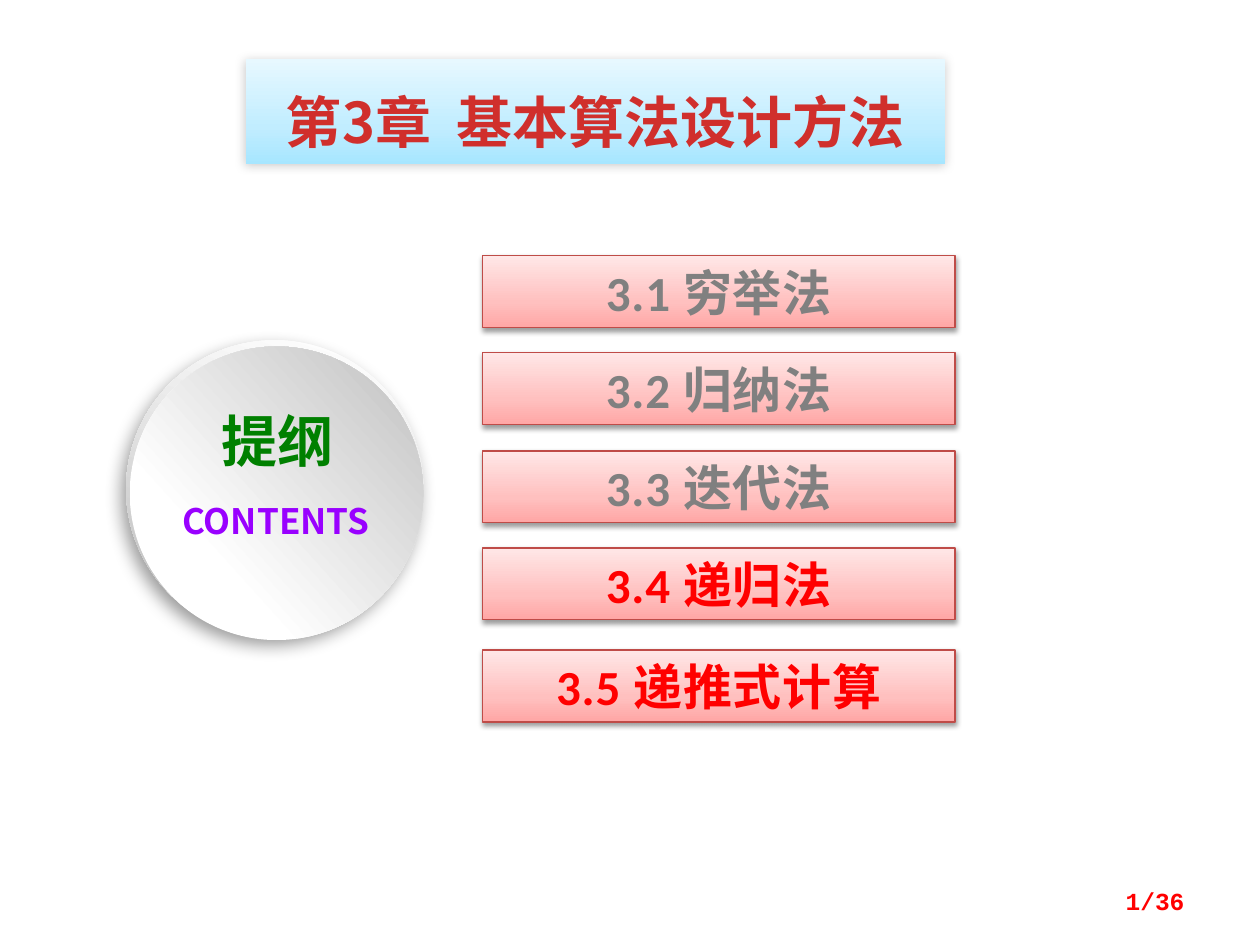
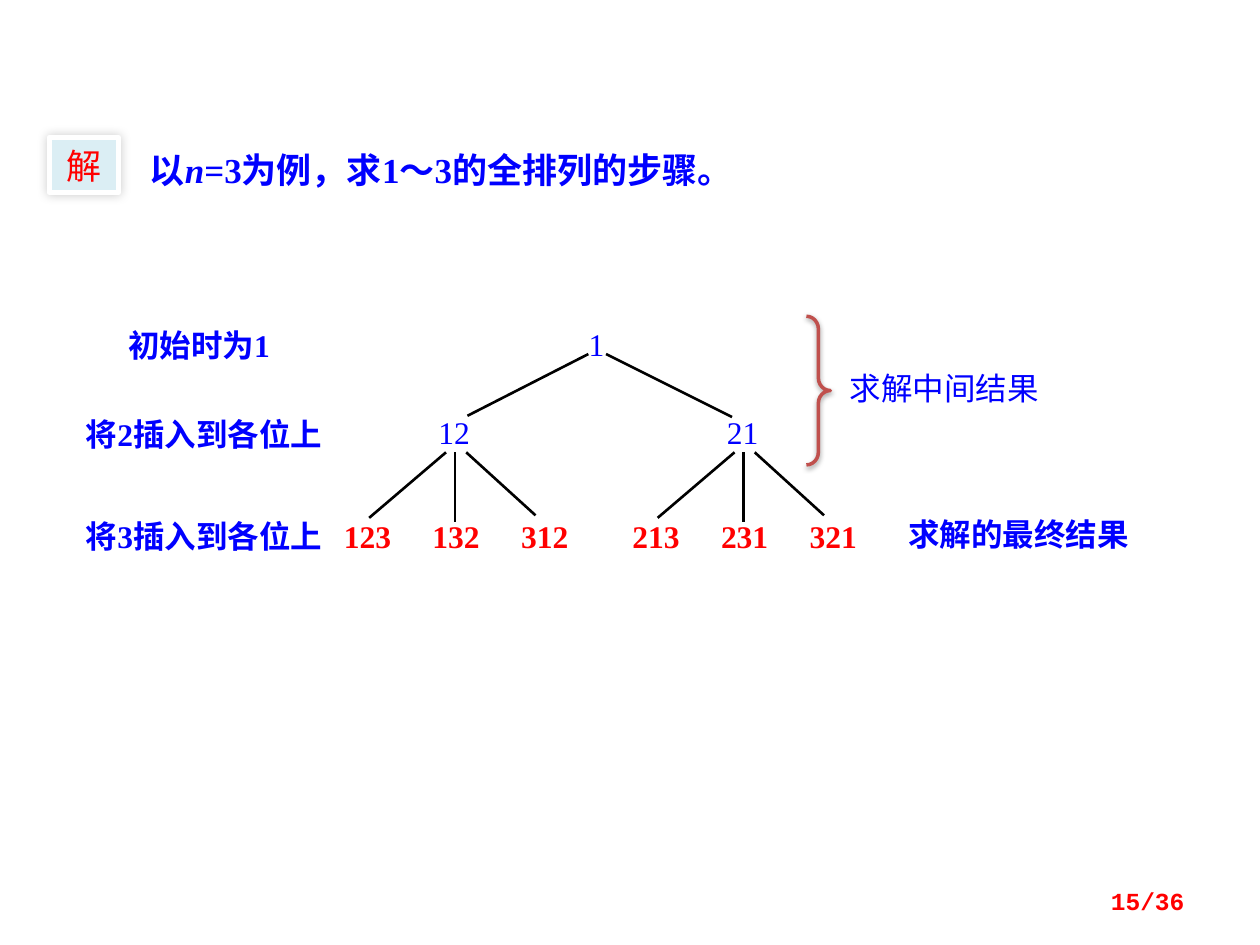
from dataclasses import dataclass, field
from typing import NamedTuple

from lxml import etree
from pptx import Presentation
from pptx.dml.color import RGBColor
from pptx.enum.shapes import MSO_CONNECTOR, MSO_SHAPE
from pptx.enum.text import MSO_ANCHOR, PP_ALIGN
from pptx.oxml.ns import qn
from pptx.util import Inches, Pt

RECT, OVAL, BRACE = MSO_SHAPE.RECTANGLE, MSO_SHAPE.OVAL, MSO_SHAPE.RIGHT_BRACE
LINE = MSO_CONNECTOR.STRAIGHT
TOP, MIDDLE = MSO_ANCHOR.TOP, MSO_ANCHOR.MIDDLE
LEFT, CENTER, RIGHT = PP_ALIGN.LEFT, PP_ALIGN.CENTER, PP_ALIGN.RIGHT
CELL = Inches(0.1)
COLS, ROWS = 100, 75
PAGES = 36


class Shade(NamedTuple):
    color: str
    alpha: int
    blur: float
    dist: float
    angle: int


class Blend(NamedTuple):
    stops: tuple[tuple[int, str], ...]
    angle: int


class Box(NamedTuple):
    """Left, top, width and height in grid cells."""
    col: float
    row: float
    wide: float
    high: float


class Edge(NamedTuple):
    col: float
    row: float
    to_col: float
    to_row: float


@dataclass(frozen=True)
class Theme:
    blue: str = "0000FF"
    red: str = "FF0000"
    grey: str = "808080"
    green: str = "008000"
    purple: str = "9900FF"
    brick: str = "D02F2C"
    rust: str = "BF4C48"
    brace: str = "C0504D"
    ice: str = "DBEEF4"
    white: str = "FFFFFF"
    black: str = "000000"
    sans: str = "Noto Sans CJK SC"
    serif: str = "Times New Roman"
    latin: str = "Calibri"
    mono: str = "Courier New"
    head: int = 32
    item: int = 28
    body: int = 20
    label: int = 18
    foot: int = 14
    sky: Blend = Blend(((0, "A7E6FF"), (35, "C1EDFF"), (100, "E7F8FF")), 270)
    rose: Blend = Blend(((0, "FFA6A5"), (35, "FFC0BF"), (100, "FFE7E7")), 270)
    rim: Blend = Blend(((17, "FFFFFF"), (88, "B8B8B8")), 45)
    disc: Blend = Blend(((29, "FFFFFF"), (98, "BFBFBF")), 45)
    glow: Shade = Shade("000000", 20, 6, 1, 135)
    halo: Shade = Shade("000000", 20, 6, 0, 225)
    drop: Shade = Shade("000000", 38, 3.1, 1.6, 90)
    deep: Shade = Shade("000000", 39, 10, 5, 123)


T = Theme()


@dataclass(frozen=True)
class Style:
    """Type of one text; pads are left, top, right, bottom in cells."""
    name: str
    size: int
    color: str
    bold: bool = True
    align: PP_ALIGN = CENTER
    anchor: MSO_ANCHOR = MIDDLE
    pads: tuple[float, ...] = (0, 0, 0, 0)
    track: float = 0
    pitch: float = 0


@dataclass(frozen=True)
class Run:
    text: str
    more: dict = field(default_factory=dict)
    track: float = 0


LIFT = (0, 0, 0, 0.5)
TITLE = Style(T.sans, T.head, T.brick, pads=(0, 1.5, 0, 0))
DONE = Style(T.latin, T.item, T.grey, track=0.5)
NEXT = Style(T.latin, T.item, T.red, track=0.5)
LEAD = Style(T.serif, T.body, T.blue, align=LEFT, anchor=TOP,
             pads=(1, 0.8, 1, 0), pitch=24.5)
NOTE = Style(T.serif, T.label, T.blue, pads=LIFT)
NODE = Style(T.serif, T.label, T.blue, bold=False, pads=LIFT)
LEAF = Style(T.serif, T.label, T.red, pads=LIFT)
FOOT = Style(T.mono, T.foot, T.red, align=RIGHT, pads=(1, 0.5, 1, 0.5))


def cells(*counts: float) -> list[int]:
    return [round(n * CELL) for n in counts]


def rgb(code: str) -> RGBColor:
    return RGBColor.from_string(code)


def add(parent, tag: str, **attrs):
    """Append a DrawingML child, with all attributes as text."""
    return etree.SubElement(parent, qn(tag), {k: str(v) for k, v in attrs.items()})


def blend(shape, mix: Blend) -> None:
    shape.fill.background()
    blank = shape.element.spPr.find(qn("a:noFill"))
    grad = etree.Element(qn("a:gradFill"), rotWithShape="1")
    stops = add(grad, "a:gsLst")
    for pos, code in mix.stops:
        add(add(stops, "a:gs", pos=pos * 1000), "a:srgbClr", val=code)
    add(grad, "a:lin", ang=mix.angle * 60000, scaled=0)
    blank.getparent().replace(blank, grad)


def cast(shape, shade: Shade) -> None:
    """Give the shape an outer shadow."""
    effects = shape.element.spPr.find(qn("a:effectLst"))
    outer = add(effects, "a:outerShdw", blurRad=Pt(shade.blur), dist=Pt(shade.dist),
                dir=shade.angle * 60000, algn="ctr", rotWithShape=0)
    add(add(outer, "a:srgbClr", val=shade.color), "a:alpha", val=shade.alpha * 1000)


def draw(slide, box: Box, kind: MSO_SHAPE = RECT, fill: str | Blend | None = None,
         line: tuple[str, float] | None = None, shade: Shade | None = None):
    shape = slide.shapes.add_shape(kind, *cells(*box))
    shape.shadow.inherit = False
    if isinstance(fill, Blend):
        blend(shape, fill)
    elif fill:
        shape.fill.solid()
        shape.fill.fore_color.rgb = rgb(fill)
    else:
        shape.fill.background()
    if line:
        shape.line.color.rgb = rgb(line[0])
        shape.line.width = Pt(line[1])
    else:
        shape.line.fill.background()
    if shade:
        cast(shape, shade)
    return shape


def write(shape, style: Style, *runs: Run) -> None:
    frame = shape.text_frame
    pads = dict(zip(("margin_left", "margin_top", "margin_right", "margin_bottom"),
                    cells(*style.pads)))
    for key, value in {"word_wrap": True, "vertical_anchor": style.anchor, **pads}.items():
        setattr(frame, key, value)
    para = frame.paragraphs[0]
    para.alignment = style.align
    if style.pitch:
        para.line_spacing = Pt(style.pitch)
    base = {"name": style.name, "size": Pt(style.size), "bold": style.bold}
    for part in runs:
        run = para.add_run()
        run.text = part.text
        for key, value in {**base, **part.more}.items():
            setattr(run.font, key, value)
        run.font.color.rgb = rgb(style.color)
        props = run.font._element
        add(props, "a:ea", typeface=T.sans)
        track = part.track or style.track
        if track:
            props.set("spc", str(round(track * 100)))


def text(slide, box: Box, style: Style, *runs: Run) -> None:
    write(slide.shapes.add_textbox(*cells(*box)), style, *runs)


def label(slide, box: Box, style: Style, words: str) -> None:
    write(draw(slide, box, fill=T.white), style, Run(words))


def join(slide, edge: Edge) -> None:
    link = slide.shapes.add_connector(LINE, *cells(*edge))
    link.line.color.rgb = rgb(T.black)
    link.line.width = Pt(1.5)
    add(link.element.spPr, "a:effectLst")


def start(deck, page: int):
    """Add a blank slide with its page count."""
    slide = deck.slides.add_slide(deck.slide_layouts[6])
    text(slide, Box(71.7, 69.5, 23.3, 4), FOOT, Run(f"{page}/{PAGES}"))
    return slide


class Item(NamedTuple):
    row: float
    words: str
    style: Style


ITEMS = (
    Item(20.3, "3.1 穷举法", DONE),
    Item(28, "3.2 归纳法", DONE),
    Item(35.8, "3.3 迭代法", DONE),
    Item(43.5, "3.4 递归法", NEXT),
    Item(51.6, "3.5 递推式计算", NEXT),
)


def outline(deck) -> None:
    slide = start(deck, 1)
    banner = draw(slide, Box(19.5, 4.7, 55.5, 8.3), fill=T.sky, shade=T.glow)
    write(banner, TITLE, Run("第3章"), Run(" ", track=7), Run("基本算法设计方法"))
    for item in ITEMS:
        bar = draw(slide, Box(38.3, item.row, 37.5, 5.7), fill=T.rose,
                   line=(T.rust, 0.75), shade=T.drop)
        write(bar, item.style, Run(item.words))
    rim = draw(slide, Box(10, 27, 23.6, 23.6), OVAL, T.rim, shade=T.deep)
    rim.rotation = 62.3
    disc = draw(slide, Box(10.3, 27.5, 23.3, 23.3), OVAL, T.disc)
    disc.rotation = 273
    text(slide, Box(12.7, 39.1, 18.4, 4.4), Style(T.sans, T.body, T.purple),
         Run("CONTENTS"))
    text(slide, Box(14.3, 31.7, 15.4, 6.4), Style(T.sans, T.head, T.green), Run("提纲"))


class Note(NamedTuple):
    box: Box
    style: Style
    words: str


class Branch(NamedTuple):
    mid: float
    words: str
    leaves: tuple[str, str, str]


NOTES = (
    Note(Box(5.5, 25.8, 20.6, 3.7), NOTE, "初始时为1"),
    Note(Box(5.9, 32.8, 20.6, 3.7), NOTE, "将2插入到各位上"),
    Note(Box(5.9, 40.9, 20.6, 3.7), NOTE, "将3插入到各位上"),
    Note(Box(66.3, 29.2, 17.3, 3.7), NODE, "求解中间结果"),
    Note(Box(70.3, 40.8, 21.1, 3.7), NOTE, "求解的最终结果"),
    Note(Box(45.5, 25.7, 3.7, 3.7), NODE, "1"),
)
BRANCHES = (
    Branch(36.1, "12", ("123", "132", "312")),
    Branch(59, "21", ("213", "231", "321")),
)
STEMS = (Edge(46.7, 28.1, 37.1, 33), Edge(48.1, 28.1, 58.1, 33.1))
# Twig ends, with columns counted from the middle of a branch.
TWIGS = (Edge(-0.7, 35.9, -6.8, 41.1), Edge(0, 35.9, 0, 41.4), Edge(0.9, 35.9, 6.4, 40.9))
STEP = 7.03


def grow(slide, branch: Branch) -> None:
    """Draw a branch, its three leaves and the twigs between them."""
    label(slide, Box(branch.mid - 1.9, 32.7, 3.7, 3.7), NODE, branch.words)
    for place, leaf in enumerate(branch.leaves, -1):
        mid = branch.mid + place * STEP
        label(slide, Box(mid - 2.5, 40.9, 5.2, 3.7), LEAF, leaf)
    for twig in TWIGS:
        join(slide, Edge(branch.mid + twig.col, twig.row,
                         branch.mid + twig.to_col, twig.to_row))


def tree(deck) -> None:
    slide = start(deck, 15)
    text(slide, Box(10.9, 10.9, 50.8, 4.4), LEAD, Run("以"),
         Run("n", {"italic": True}), Run("=3为例，求1～3的全排列的步骤。"))
    badge = draw(slide, Box(3.9, 10.9, 5.5, 4.4), fill=T.ice,
                 line=(T.white, 3), shade=T.halo)
    write(badge, Style(T.sans, T.body, T.red, bold=False), Run("解"))
    for note in NOTES:
        label(slide, *note)
    for branch in BRANCHES:
        grow(slide, branch)
    for stem in STEMS:
        join(slide, stem)
    brace = draw(slide, Box(64, 25.1, 1.9, 11.8), BRACE, line=(T.brace, 2), shade=T.drop)
    brace.adjustments[0] = 0.53
    brace.adjustments[1] = 0.5


def main() -> None:
    deck = Presentation()
    deck.slide_width, deck.slide_height = cells(COLS, ROWS)
    outline(deck)
    tree(deck)
    deck.save("out.pptx")


if __name__ == "__main__":
    main()
